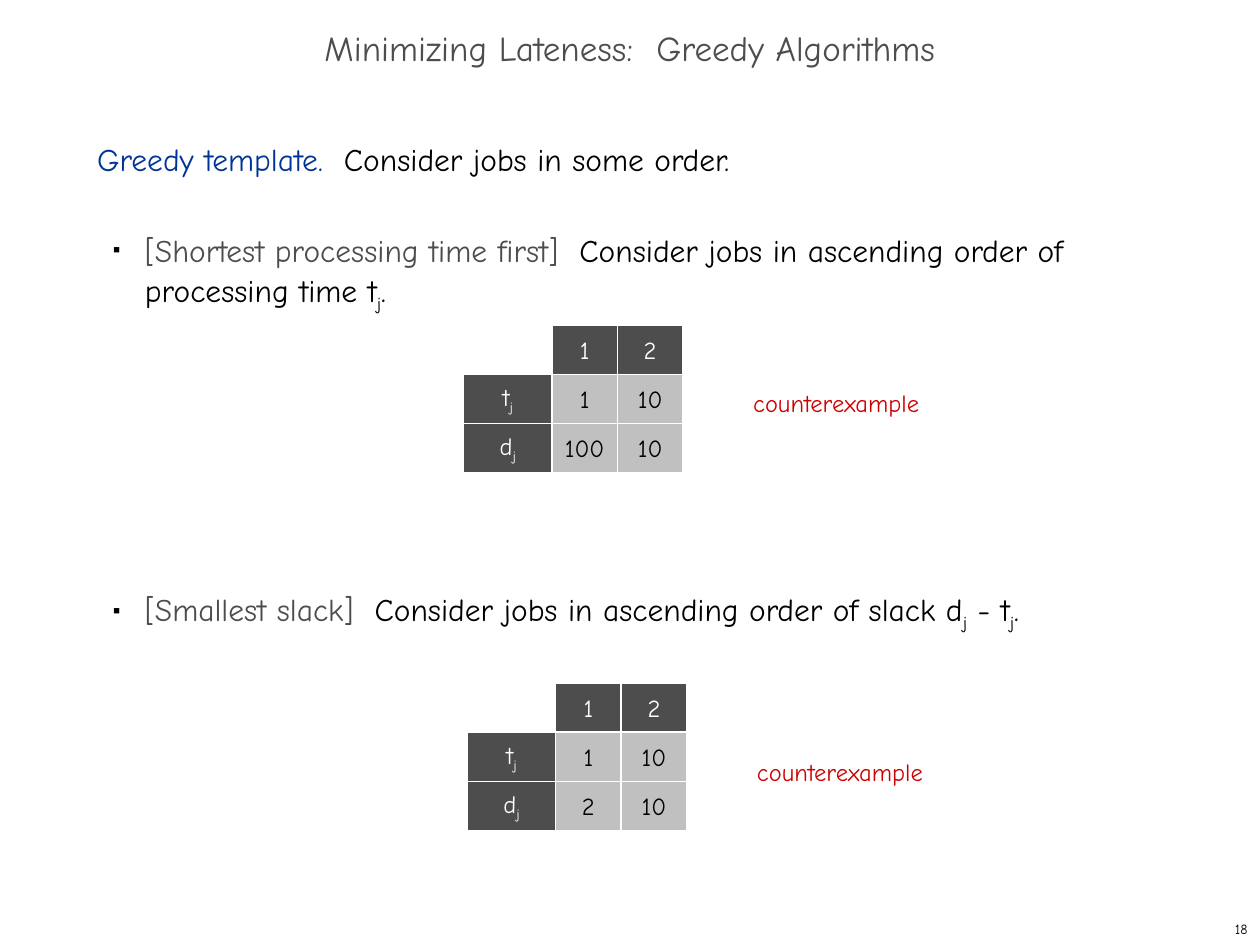
from dataclasses import dataclass
from itertools import accumulate
from typing import NamedTuple

from lxml.etree import SubElement
from pptx import Presentation
from pptx.dml.color import RGBColor
from pptx.enum.shapes import MSO_SHAPE
from pptx.enum.text import MSO_ANCHOR, MSO_AUTO_SIZE, PP_ALIGN
from pptx.oxml.ns import qn
from pptx.util import Inches, Pt

FONT = "Comic Neue"
BLACK, WHITE, DARK, LIGHT = "000000", "FFFFFF", "4D4D4D", "C0C0C0"
BLUE, RED = "003399", "CC0000"
COLUMN_WIDTHS = (0.7, 0.52, 0.52)
ROW_HEIGHT = 0.39
LINE_PITCH = 26  # points


class Piece(NamedTuple):
    text: str
    color: str = BLACK
    subscript: bool = False


@dataclass
class BodyLine:
    pieces: list[Piece]
    blank_lines_above: int = 0
    bulleted: bool = False


@dataclass
class JobGrid:
    left: float
    top: float
    deadlines: tuple[str, str]


@dataclass
class Label:
    text: str
    left: float
    top: float
    width: float
    height: float
    size: int
    color: str
    align: PP_ALIGN = PP_ALIGN.LEFT
    anchor: MSO_ANCHOR = MSO_ANCHOR.TOP


def rgb(color: str) -> RGBColor:
    return RGBColor.from_string(color)


def place(shape, left: float, top: float, width: float, height: float) -> None:
    bounds = {"left": left, "top": top, "width": width, "height": height}
    for name, value in bounds.items():
        setattr(shape, name, Inches(value))


def write(paragraph, pieces: list[Piece], size: int) -> None:
    for piece in pieces:
        run = paragraph.add_run()
        run.text = piece.text
        for name, value in {"name": FONT, "size": Pt(size), "bold": False}.items():
            setattr(run.font, name, value)
        run.font.color.rgb = rgb(piece.color)
        if piece.subscript:
            run.font._element.set("baseline", "-25000")


def set_bullet(paragraph, bulleted: bool) -> None:
    properties = paragraph._p.get_or_add_pPr()
    properties.set("marL", str(Inches(0.38 if bulleted else 0)))
    properties.set("indent", str(Inches(-0.25 if bulleted else 0)))
    if not bulleted:
        SubElement(properties, qn("a:buNone"))
        return
    bullet_color = SubElement(properties, qn("a:buClr"))
    SubElement(bullet_color, qn("a:srgbClr"), val=BLACK)
    SubElement(properties, qn("a:buSzPct"), val="35000")
    SubElement(properties, qn("a:buChar"), char="■")


def fill_body(frame, lines: list[BodyLine]) -> None:
    frame.auto_size = MSO_AUTO_SIZE.NONE
    for number, line in enumerate(lines):
        paragraph = frame.add_paragraph() if number else frame.paragraphs[0]
        set_bullet(paragraph, line.bulleted)
        spacing = {
            "level": int(line.bulleted),
            "line_spacing": Pt(LINE_PITCH),
            "space_before": Pt(LINE_PITCH * line.blank_lines_above),
        }
        for name, value in spacing.items():
            setattr(paragraph, name, value)
        write(paragraph, line.pieces, 18)


def draw_label(slide, label: Label) -> None:
    box = slide.shapes.add_textbox(0, 0, 0, 0)
    place(box, label.left, label.top, label.width, label.height)
    box.text_frame.word_wrap = False
    box.text_frame.vertical_anchor = label.anchor
    paragraph = box.text_frame.paragraphs[0]
    paragraph.alignment = label.align
    write(paragraph, [Piece(label.text, label.color)], label.size)


def draw_cell(shapes, left: float, top: float, width: float,
              pieces: list[Piece], fill: str) -> None:
    cell = shapes.add_shape(MSO_SHAPE.RECTANGLE, Inches(left), Inches(top),
                            Inches(width), Inches(ROW_HEIGHT))
    cell.shadow.inherit = False
    cell.fill.solid()
    cell.fill.fore_color.rgb = rgb(fill)
    cell.line.color.rgb = rgb(WHITE)
    cell.line.width = Pt(0.75)
    cell.text_frame.word_wrap = False
    cell.text_frame.vertical_anchor = MSO_ANCHOR.MIDDLE
    paragraph = cell.text_frame.paragraphs[0]
    paragraph.alignment = PP_ALIGN.CENTER
    write(paragraph, pieces, 14)


def draw_job_grid(slide, grid: JobGrid) -> None:
    label_left, *job_lefts = accumulate(COLUMN_WIDTHS[:-1], initial=grid.left)
    row_tops = [grid.top + ROW_HEIGHT * row for row in range(3)]

    for name, top in zip("td", row_tops[1:]):
        draw_cell(slide.shapes, label_left, top, COLUMN_WIDTHS[0],
                  [Piece(name, WHITE), Piece("j", WHITE, subscript=True)], DARK)

    job_columns = zip(("1", "2"), ("1", "10"), grid.deadlines)
    group = slide.shapes.add_group_shape()
    for left, width, values in zip(job_lefts, COLUMN_WIDTHS[1:], job_columns):
        for row, (top, value) in enumerate(zip(row_tops, values)):
            text_color, fill = (BLACK, LIGHT) if row else (WHITE, DARK)
            draw_cell(group.shapes, left, top, width, [Piece(value, text_color)], fill)


def main() -> None:
    presentation = Presentation()
    presentation.slide_width, presentation.slide_height = Inches(10), Inches(7.5)
    slide = presentation.slides.add_slide(presentation.slide_layouts[1])

    # Title
    title = slide.shapes.title
    place(title, 0, 0.17, 10, 0.5)
    title.text_frame.auto_size = MSO_AUTO_SIZE.NONE
    title.text_frame.vertical_anchor = MSO_ANCHOR.MIDDLE
    heading = title.text_frame.paragraphs[0]
    heading.alignment, heading.line_spacing = PP_ALIGN.CENTER, 0.7
    write(heading, [Piece("Minimizing Lateness:  Greedy Algorithms", DARK)], 20)

    # Greedy template and its two orderings, with room for the grids
    sub_j = Piece("j", subscript=True)
    body = slide.placeholders[1]
    place(body, 0.67, 1, 8.58, 5.92)
    fill_body(body.text_frame, [
        BodyLine([Piece("Greedy template.  ", BLUE),
                  Piece("Consider jobs in some order.")]),
        BodyLine([Piece("[Shortest processing time first]", DARK),
                  Piece("  Consider jobs in ascending order of processing time t"),
                  sub_j, Piece(".")], 1, True),
        BodyLine([Piece("[Smallest slack]", DARK),
                  Piece("  Consider jobs in ascending order of slack d"),
                  sub_j, Piece(" - t"), sub_j, Piece(".")], 6, True),
    ])

    # Counterexample grids
    for grid in (JobGrid(3.68, 2.58, ("100", "10")), JobGrid(3.71, 5.42, ("2", "10"))):
        draw_job_grid(slide, grid)

    # Counterexample labels and slide number
    for left, top in ((5.88, 3.03), (5.91, 5.96)):
        draw_label(slide, Label("counterexample", left, top, 1.53, 0.33, 14, RED))
    draw_label(slide, Label("18", 7.92, 7.25, 2.08, 0.25, 8, BLACK,
                            PP_ALIGN.RIGHT, MSO_ANCHOR.MIDDLE))

    presentation.save("out.pptx")


if __name__ == "__main__":
    main()
